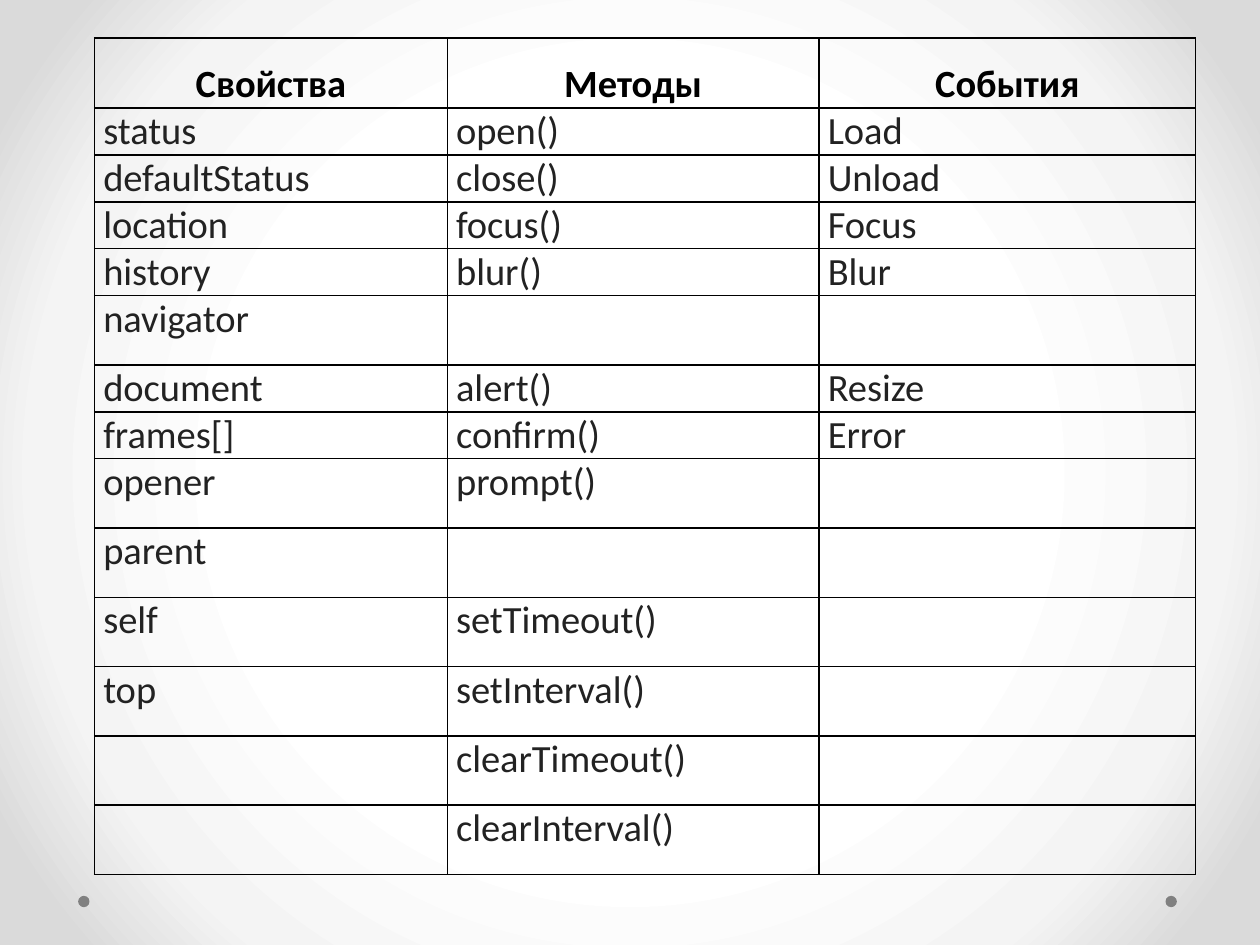
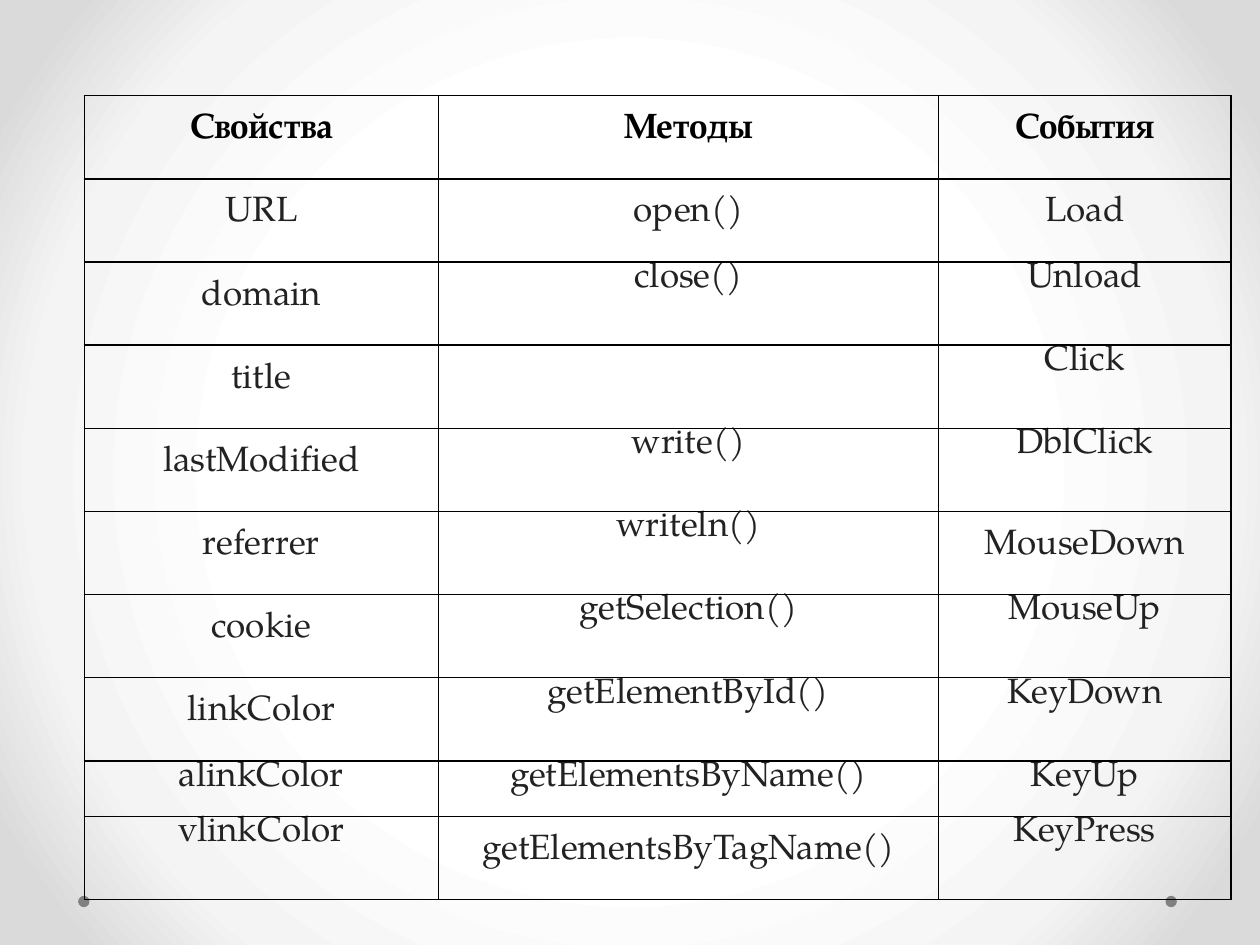
from lxml import etree
from pptx import Presentation
from pptx.dml.color import RGBColor
from pptx.enum.shapes import MSO_SHAPE
from pptx.enum.text import MSO_ANCHOR, PP_ALIGN
from pptx.oxml import parse_xml
from pptx.oxml.ns import nsdecls, qn
from pptx.util import Inches, Pt

BLACK = RGBColor(0x00, 0x00, 0x00)
INK = RGBColor(0x22, 0x22, 0x22)
GREY = RGBColor(0x80, 0x80, 0x80)
STOPS = [(50, "FFFFFF"), (76, "F4F4F4"), (92, "DADADA")]
OVAL = MSO_SHAPE.OVAL
LEFT, CENTER = PP_ALIGN.LEFT, PP_ALIGN.CENTER
TOP = MSO_ANCHOR.TOP
PLAIN = "{2D5ABB26-0587-4C30-8999-92F81FD0307C}"  # table style without grid
HEAD = ("Свойства", "Методы", "События")

WINDOW = [
    HEAD,
    ("status", "open()", "Load"),
    ("defaultStatus", "close()", "Unload"),
    ("location", "focus()", "Focus"),
    ("history", "blur()", "Blur"),
    ("navigator", "", ""),
    ("document", "alert()", "Resize"),
    ("frames[]", "confirm()", "Error"),
    ("opener", "prompt()", ""),
    ("parent", "", ""),
    ("self", "setTimeout()", ""),
    ("top", "setInterval()", ""),
    ("", "clearTimeout()", ""),
    ("", "clearInterval()", ""),
]
DOCUMENT = [
    HEAD,
    ("URL", "open()", "Load"),
    ("domain", "close()", "Unload"),
    ("title", "", "Click"),
    ("lastModified", "write()", "DblClick"),
    ("referrer", "writeln()", "MouseDown"),
    ("cookie", "getSelection()", "MouseUp"),
    ("linkColor", "getElementById()", "KeyDown"),
    ("alinkColor", "getElementsByName()", "KeyUp"),
    ("vlinkColor", "getElementsByTagName()", "KeyPress"),
]
# Words set with one and a half line spacing
AIRY = {*HEAD, *DOCUMENT[1], *(row[0] for row in DOCUMENT[:8]),
        "MouseDown", "getElementsByTagName()"}

# rows, left, top, column widths, row height, low rows, low height,
# font, size, body alignment, airy words
TABLES = [
    (WINDOW, 0.75, 0.3, (2.8, 2.95, 2.99), 0.55, (1, 2, 3, 4, 6, 7), 0.37,
     "Calibri", 22, LEFT, set(HEAD)),
    (DOCUMENT, 0.67, 0.76, (2.81, 3.97, 2.32), 0.66, (8,), 0.44,
     "TeX Gyre Pagella", 20, CENTER, AIRY),
]


def edge(cell):
    """Draw a thin black line on all four sides of a cell."""
    props = cell._tc.get_or_add_tcPr()
    for side in ("lnL", "lnR", "lnT", "lnB"):
        line = etree.SubElement(props, qn(f"a:{side}"), w=str(Pt(1)))
        fill = etree.SubElement(line, qn("a:solidFill"))
        etree.SubElement(fill, qn("a:srgbClr"), val=str(BLACK))


prs = Presentation()
prs.slide_width, prs.slide_height = Inches(10), Inches(7.5)

# Shared background: radial gradient on the master
master = prs.slide_master
master.background.fill.solid()
stops = "".join(f'<a:gs pos="{pos * 1000}"><a:srgbClr val="{tone}"/></a:gs>'
                for pos, tone in STOPS)
glow = parse_xml(
    f'<a:gradFill {nsdecls("a")} rotWithShape="1"><a:gsLst>{stops}</a:gsLst>'
    '<a:path path="circle"><a:fillToRect l="50000" t="50000" r="50000" b="50000"/>'
    '</a:path></a:gradFill>')
back = master.element.find(".//" + qn("p:bgPr"))
back.replace(back[0], glow)

for (rows, left, top, widths, high, low, short,
     font, size, align, airy) in TABLES:
    slide = prs.slides.add_slide(prs.slide_layouts[6])

    # Corner dots
    for x in (9.25, 0.62):
        dot = slide.shapes.add_shape(OVAL, Inches(x), Inches(7.11),
                                     Inches(0.09), Inches(0.09))
        dot.shadow.inherit = False
        dot.fill.solid()
        dot.fill.fore_color.rgb = GREY
        dot.line.fill.background()

    # Table frame
    tall = [short if i in low else high for i in range(len(rows))]
    frame = slide.shapes.add_table(len(rows), len(widths), Inches(left), Inches(top),
                                   Inches(sum(widths)), Inches(sum(tall)))
    table = frame.table
    table.first_row = table.horz_banding = False
    table._tbl.find(".//" + qn("a:tableStyleId")).text = PLAIN
    for col, width in zip(table.columns, widths):
        col.width = Inches(width)

    # Cells
    for i, words in enumerate(rows):
        table.rows[i].height = Inches(tall[i])
        for j, word in enumerate(words):
            cell = table.cell(i, j)
            edge(cell)
            cell.fill.background()
            cell.margin_left = cell.margin_right = Inches(0.07)
            cell.margin_top = cell.margin_bottom = 0
            cell.vertical_anchor = TOP
            cell.text = word
            para = cell.text_frame.paragraphs[0]
            para.alignment = align if i else CENTER
            if word in airy:
                para.line_spacing = 1.5
            para.font.name = font
            para.font.size = Pt(size)
            para.font.bold = i == 0
            para.font.color.rgb = INK if i else BLACK

prs.save("out.pptx")
